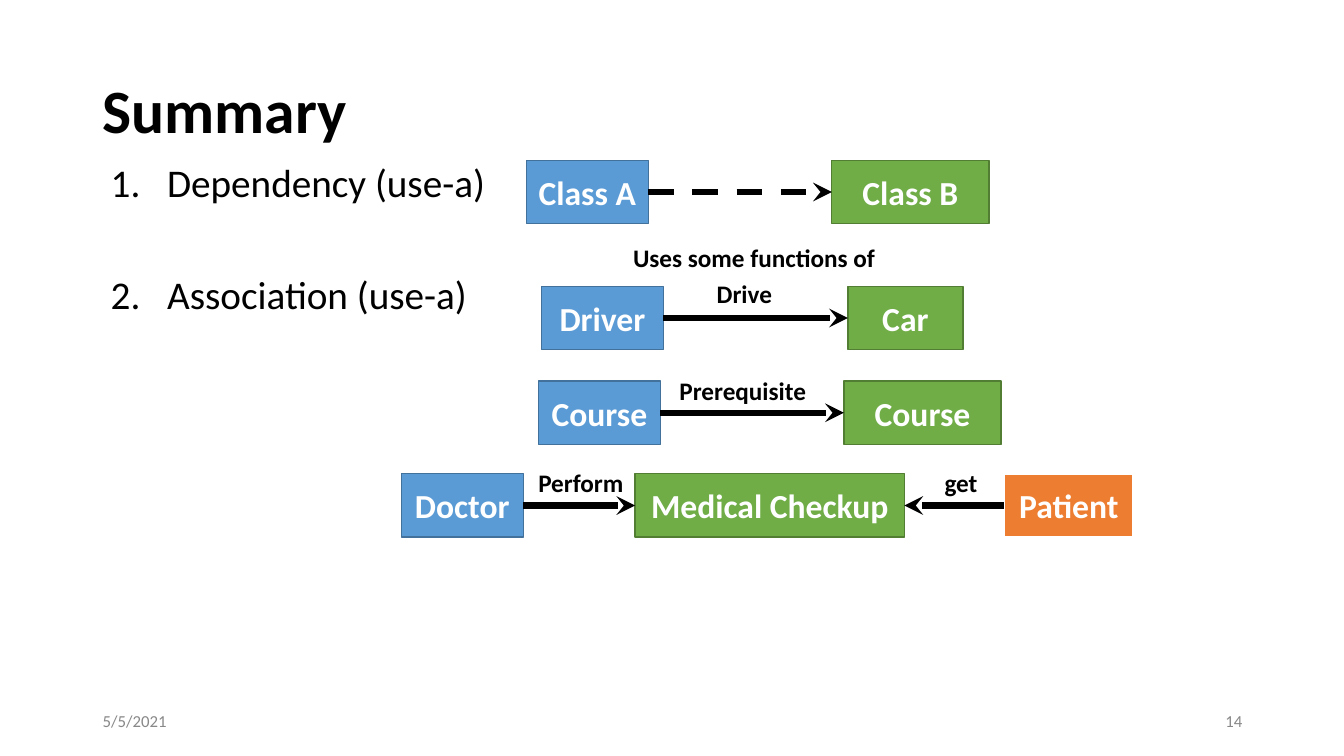
from pptx import Presentation
from pptx.dml.color import RGBColor
from pptx.enum.dml import MSO_LINE
from pptx.enum.shapes import MSO_CONNECTOR, MSO_SHAPE
from pptx.enum.text import MSO_ANCHOR, PP_ALIGN
from pptx.oxml.ns import qn
from pptx.util import Inches, Pt
from lxml import etree

BLACK = RGBColor(0x00, 0x00, 0x00)
WHITE = RGBColor(0xFF, 0xFF, 0xFF)
GRAY = RGBColor(0x88, 0x88, 0x88)
BLUE = RGBColor(0x5B, 0x9B, 0xD5)
NAVY = RGBColor(0x42, 0x71, 0x9B)
GREEN = RGBColor(0x70, 0xAD, 0x47)
MOSS = RGBColor(0x51, 0x7E, 0x33)
ORANGE = RGBColor(0xED, 0x7D, 0x31)
RECT = MSO_SHAPE.RECTANGLE
STRAIGHT = MSO_CONNECTOR.STRAIGHT
DASH = MSO_LINE.DASH
TOP, MIDDLE = MSO_ANCHOR.TOP, MSO_ANCHOR.MIDDLE
LEFT, CENTER, RIGHT = PP_ALIGN.LEFT, PP_ALIGN.CENTER, PP_ALIGN.RIGHT
LEFT_SIDE, RIGHT_SIDE = 1, 3
BOX_W, BOX_H = 1.21, 0.63


class Deck:
    font = "Calibri"

    def __init__(self, slide):
        self.shapes = slide.shapes

    def style(self, para, size, color, bold=False):
        for run in para.runs:
            run.font.name = self.font
            run.font.size = Pt(size)
            run.font.bold = bold
            run.font.color.rgb = color

    def text(self, words, x, y, w, h, size, color=BLACK, bold=False,
             align=LEFT, anchor=MIDDLE, wrap=True):
        box = self.shapes.add_textbox(Inches(x), Inches(y), Inches(w), Inches(h))
        frame = box.text_frame
        frame.word_wrap = wrap
        frame.vertical_anchor = anchor
        frame.text = words
        for para in frame.paragraphs:
            para.alignment = align
            self.style(para, size, color, bold)
        return frame

    def label(self, words, x, y, w):
        self.text(words, x, y, w, 0.4, 18, bold=True, anchor=TOP, wrap=False)

    def list(self, items, x, y, w, h, gap):
        """Add a numbered list with a gap in points between its items."""
        frame = self.text("\n".join(items), x, y, w, h, 28, anchor=TOP)
        for i, para in enumerate(frame.paragraphs):
            para.line_spacing = 0.9
            if i:
                para.space_before = Pt(gap)
            props = para._p.get_or_add_pPr()
            props.set("marL", str(Inches(0.56)))
            props.set("indent", str(-Inches(0.56)))
            etree.SubElement(props, qn("a:buFont"), typeface="+mj-lt")
            etree.SubElement(props, qn("a:buAutoNum"), type="arabicPeriod")

    def box(self, words, x, y, w=BOX_W, fill=BLUE, edge=NAVY, weight=1):
        box = self.shapes.add_shape(RECT, Inches(x), Inches(y), Inches(w), Inches(BOX_H))
        box.shadow.inherit = False
        box.fill.solid()
        box.fill.fore_color.rgb = fill
        box.line.color.rgb = edge
        box.line.width = Pt(weight)
        frame = box.text_frame
        frame.word_wrap = True
        frame.vertical_anchor = MIDDLE
        frame.text = words
        para = frame.paragraphs[0]
        para.alignment = CENTER
        self.style(para, 24, WHITE, True)
        return box

    def arrow(self, start, end, out=RIGHT_SIDE, into=LEFT_SIDE, dash=None):
        """Join two boxes, from side out of start to side into of end."""
        link = self.shapes.add_connector(STRAIGHT, 0, 0, 0, 0)
        link.begin_connect(start, out)
        link.end_connect(end, into)
        link.line.color.rgb = BLACK
        link.line.width = Pt(4.5)
        if dash:
            link.line.dash_style = dash
        line = link.line._get_or_add_ln()
        etree.SubElement(line, qn("a:tailEnd"), type="stealth")
        etree.SubElement(link._element.spPr, qn("a:effectLst"))


def main():
    prs = Presentation()
    prs.slide_width, prs.slide_height = Inches(13.33), Inches(7.5)
    deck = Deck(prs.slides.add_slide(prs.slide_layouts[6]))

    title = deck.text("Summary", 0.92, 0.4, 11.5, 1.45, 44, bold=True)
    title.paragraphs[0].line_spacing = 0.9
    deck.list(["Dependency (use-a)", "Association (use-a)"], 1, 1.57, 11.5, 4.76, 50)
    deck.text("5/5/2021", 0.92, 6.95, 3, 0.4, 12, GRAY)
    deck.text("14", 9.42, 6.95, 3, 0.4, 12, GRAY, align=RIGHT)

    # user, its left, used, its left and width, top, dash, label and its place
    pairs = [
        ("Class A", 5.22, "Class B", 8.25, 1.56, 1.59, DASH,
         ("Uses some functions of", 6.18, 2.36, 2.62)),
        ("Driver", 5.37, "Car", 8.41, 1.14, 2.84, None, ("Drive", 7.01, 2.71, 0.76)),
        ("Course", 5.34, "Course", 8.37, 1.56, 3.78, None,
         ("Prerequisite", 6.64, 3.67, 1.47)),
        ("Doctor", 3.98, "Medical Checkup", 6.3, 2.67, 4.7, None,
         ("Perform", 5.24, 4.59, 1.05)),
    ]
    for user, x, used, used_x, used_w, y, dash, label in pairs:
        start = deck.box(user, x, y)
        end = deck.box(used, used_x, y, used_w, GREEN, MOSS)
        deck.arrow(start, end, dash=dash)
        deck.label(*label)

    patient = deck.box("Patient", 9.96, 4.7, 1.28, ORANGE, WHITE, 1.5)
    deck.arrow(patient, end, LEFT_SIDE, RIGHT_SIDE)
    deck.label("get", 9.27, 4.59, 0.53)

    prs.save("out.pptx")


if __name__ == "__main__":
    main()
